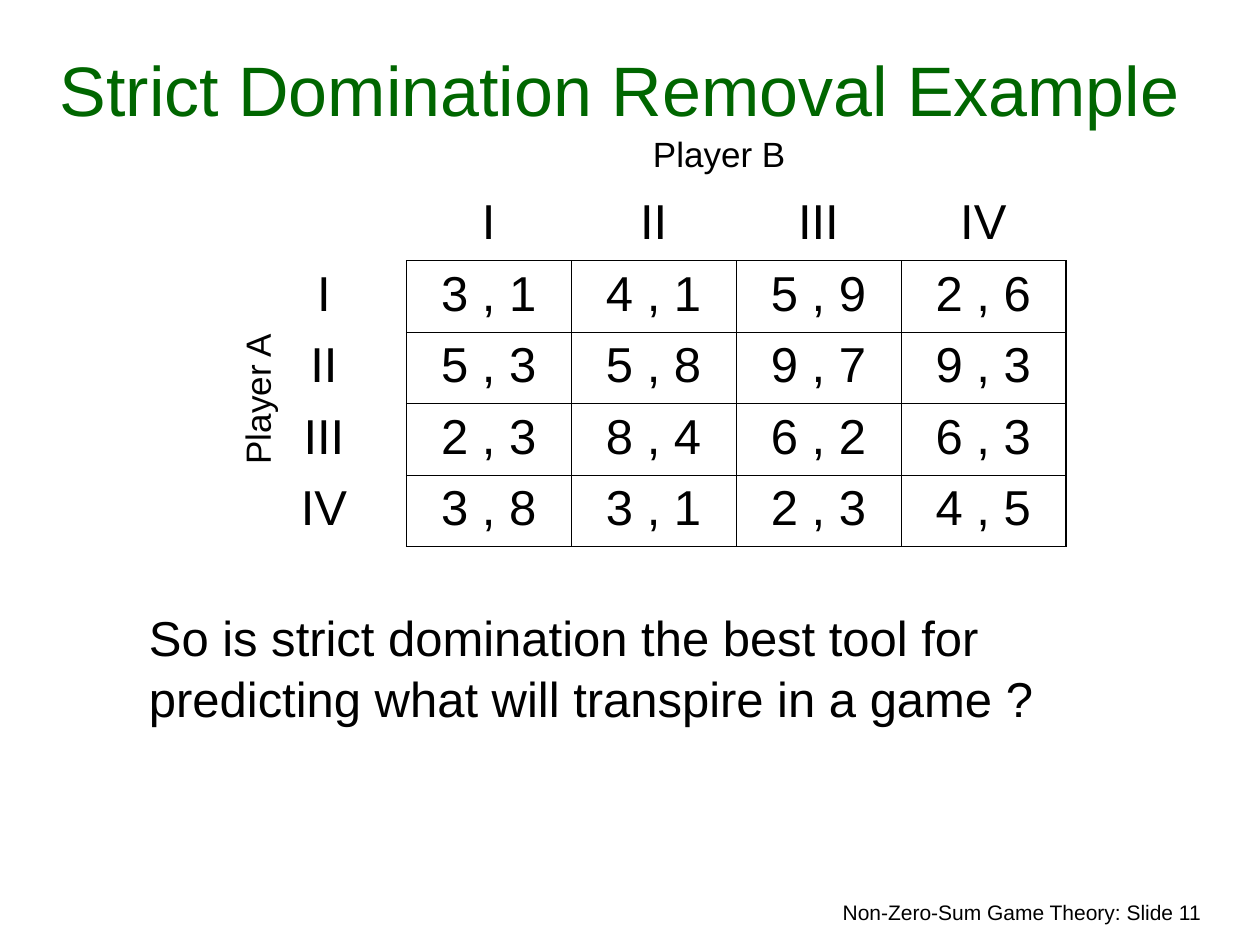
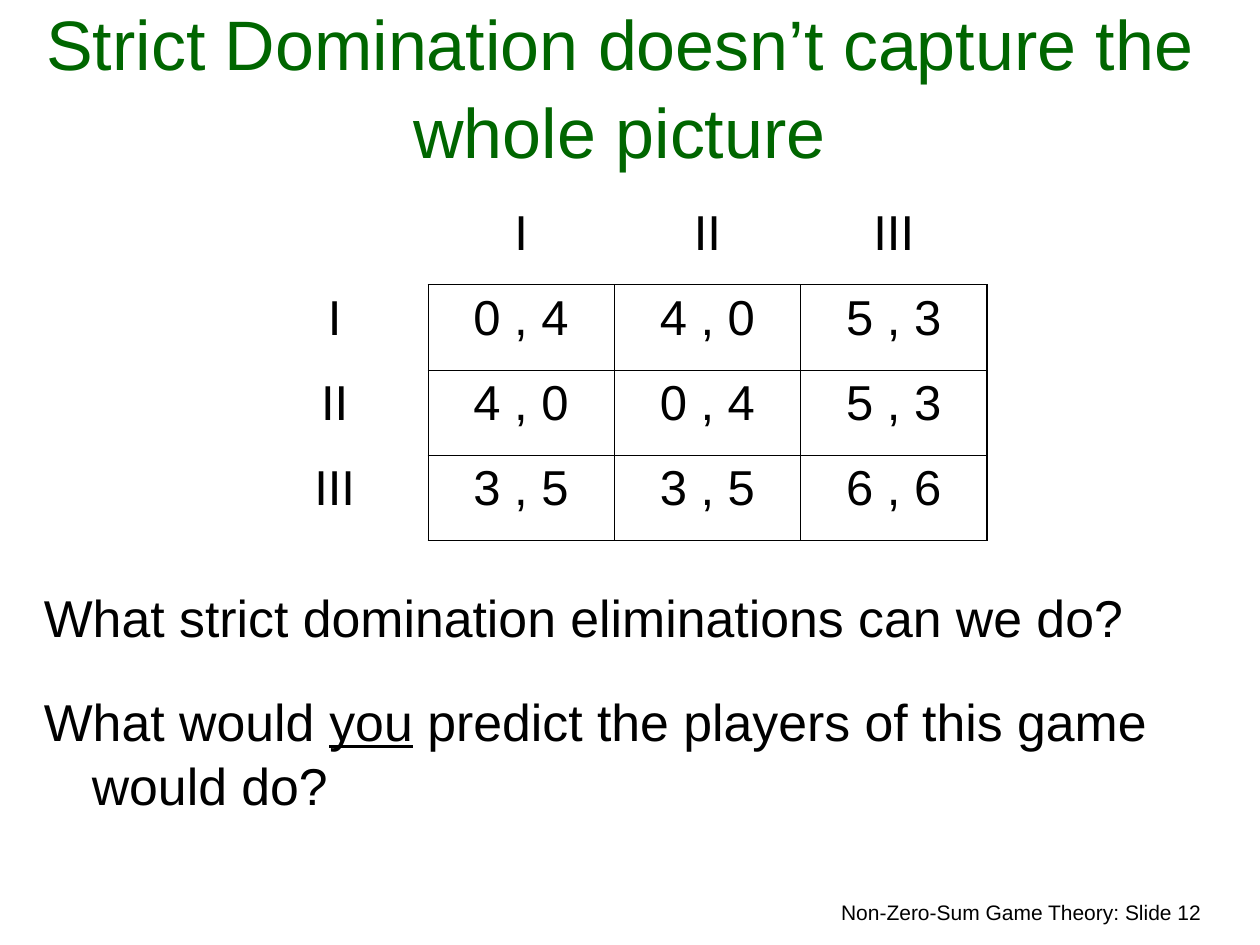
import lxml.etree
import pptx
import pptx.dml.color
import pptx.enum.text
import pptx.oxml
import pptx.oxml.ns
import pptx.util

ALIGN = pptx.enum.text.PP_ALIGN
ANCHOR = pptx.enum.text.MSO_ANCHOR
GREEN = pptx.dml.color.RGBColor(0x00, 0x66, 0x00)
BLACK = pptx.dml.color.RGBColor(0x00, 0x00, 0x00)
WIDTH, HEIGHT = pptx.util.Inches(10), pptx.util.Inches(7.5)
COLUMNS, ROWS = 120, 90
TITLE_ONLY = 5
THIN, THICK = 0.45, 1.08
NUMERALS = ["I", "II", "III", "IV"]

TITLE_FONT = {"name": "Arial", "size": pptx.util.Pt(40)}
BODY_FONT = {"name": "Arial", "size": pptx.util.Pt(28)}
QUESTION_FONT = {"name": "Arial", "size": pptx.util.Pt(29.6)}
PLAYER_FONT = {"name": "Arial", "size": pptx.util.Pt(20)}
FOOTER_FONT = {"name": "Arial", "size": pptx.util.Pt(12)}


def grid(left, top, width, height):
    """Turn grid columns and rows into slide lengths."""
    across, down = WIDTH / COLUMNS, HEIGHT / ROWS
    return [round(n) for n in (left * across, top * down, width * across, height * down)]


def set_all(target, values):
    """Set every attribute named in a dict of values."""
    for name, value in values.items():
        setattr(target, name, value)


def write(para, spans, font, color=BLACK, **layout):
    """Fill a paragraph with (text, underlined) spans."""
    set_all(para, layout)
    for text, underlined in spans:
        span = para.add_run()
        span.text = text
        set_all(span.font, font)
        span.font.color.rgb = color
        if underlined:
            span.font.underline = True


def add_title(page, text, rows):
    """Place and format the title, which stands on the bottom of its box."""
    title = page.shapes.title
    left, top, width, height = grid(3, 3, 112, rows)
    set_all(title, {"left": left, "top": top, "width": width, "height": height})
    set_all(title.text_frame, {
        "vertical_anchor": ANCHOR.BOTTOM,
        "word_wrap": True,
        "auto_size": pptx.enum.text.MSO_AUTO_SIZE.NONE,
    })
    write(title.text_frame.paragraphs[0], [(text, False)], TITLE_FONT, GREEN,
          alignment=ALIGN.CENTER, line_spacing=1.04)


def add_text(page, area, paragraphs, font, gap=0, hanging=0, rotation=0, **layout):
    """Add a wrapped text box with one paragraph for each list of spans."""
    box = page.shapes.add_textbox(*grid(*area))
    box.rotation = rotation
    box.text_frame.word_wrap = True
    for index, spans in enumerate(paragraphs):
        para = box.text_frame.add_paragraph() if index else box.text_frame.paragraphs[0]
        if index:
            para.space_before = pptx.util.Pt(gap)
        if hanging:
            indent = pptx.util.Inches(hanging)
            properties = para._p.get_or_add_pPr()
            properties.set("marL", str(indent))
            properties.set("indent", str(-indent))
        write(para, spans, font, **layout)


def set_borders(cell, weights):
    """Draw the sides of a cell; a weight of zero hides a side."""
    properties = cell._tc.get_or_add_tcPr()
    for index, (side, weight) in enumerate(weights.items()):
        line = lxml.etree.Element(pptx.oxml.ns.qn(f"a:ln{side}"))
        line.set("w", str(pptx.util.Pt(weight)))
        kind = "a:solidFill" if weight else "a:noFill"
        fill = lxml.etree.SubElement(line, pptx.oxml.ns.qn(kind))
        if weight:
            color = lxml.etree.SubElement(fill, pptx.oxml.ns.qn("a:srgbClr"))
            color.set("val", str(BLACK))
        properties.insert(index, line)


def side_weights(row, column, last):
    """Frame the payoffs only, with heavier right and bottom edges."""
    payoff = row > 0 and column > 0
    return {
        "L": THIN if payoff else 0,
        "R": (THICK if column == last else THIN) if row else 0,
        "T": THIN if payoff else 0,
        "B": (THICK if row == last else THIN) if column else 0,
    }


def add_payoffs(page, area, payoffs):
    """Add a square payoff table labelled with Roman numerals."""
    size = len(payoffs)
    labels = NUMERALS[:size]
    lines = [[""] + labels] + [[label] + line for label, line in zip(labels, payoffs)]
    table = page.shapes.add_table(size + 1, size + 1, *grid(*area)).table
    set_all(table, {"first_row": False, "horz_banding": False})
    for row, line in enumerate(lines):
        for column, text in enumerate(line):
            cell = table.cell(row, column)
            cell.fill.background()
            set_borders(cell, side_weights(row, column, size))
            if text:
                write(cell.text_frame.paragraphs[0], [(text, False)], BODY_FONT,
                      alignment=ALIGN.CENTER)


def add_page(deck, number, title, title_rows):
    """Add a slide with its title and numbered footer."""
    page = deck.slides.add_slide(deck.slide_layouts[TITLE_ONLY])
    add_text(page, (68.6, 85.1, 47, 3.6),
             [[(f"Non-Zero-Sum Game Theory: Slide {number}", False)]],
             FOOTER_FONT, alignment=ALIGN.RIGHT)
    add_title(page, title, title_rows)
    return page


def add_removal_example(deck):
    """Build the four-strategy example."""
    page = add_page(deck, 11, "Strict Domination Removal Example", 10)
    question = "So is strict domination the best tool for predicting what will transpire in a game ?"
    add_text(page, (13, 57, 93, 28), [[(question, False)]], BODY_FONT, line_spacing=1.04)
    add_payoffs(page, (23, 18, 78.5, 34), [
        ["3 , 1", "4 , 1", "5 , 9", "2 , 6"],
        ["5 , 3", "5 , 8", "9 , 7", "9 , 3"],
        ["2 , 3", "8 , 4", "6 , 2", "6 , 3"],
        ["3 , 8", "3 , 1", "2 , 3", "4 , 5"],
    ])
    players = [("Player B", (45, 12, 47, 5.25), 0), ("Player A", (10.5, 35.4, 28, 5.25), 270)]
    for name, area, rotation in players:
        add_text(page, area, [[(name, False)]], PLAYER_FONT, rotation=rotation,
                 alignment=ALIGN.CENTER)


def add_whole_picture(deck):
    """Build the three-strategy game and its questions."""
    page = add_page(deck, 12, "Strict Domination doesn’t capture the whole picture", 14)
    add_text(page, (3, 55, 112.5, 30), [
        [("What strict domination eliminations can we do?", False)],
        [("What would ", False), ("you", True),
         (" predict the players of this game would do?", False)],
    ], QUESTION_FONT, gap=22, hanging=0.38, line_spacing=1.04)
    add_payoffs(page, (23, 19, 71, 32.5), [
        ["0 , 4", "4 , 0", "5 , 3"],
        ["4 , 0", "0 , 4", "5 , 3"],
        ["3 , 5", "3 , 5", "6 , 6"],
    ])


def main():
    """Build and save the deck."""
    deck = pptx.Presentation()
    set_all(deck, {"slide_width": WIDTH, "slide_height": HEIGHT})
    add_removal_example(deck)
    add_whole_picture(deck)
    deck.save("out.pptx")


if __name__ == "__main__":
    main()
